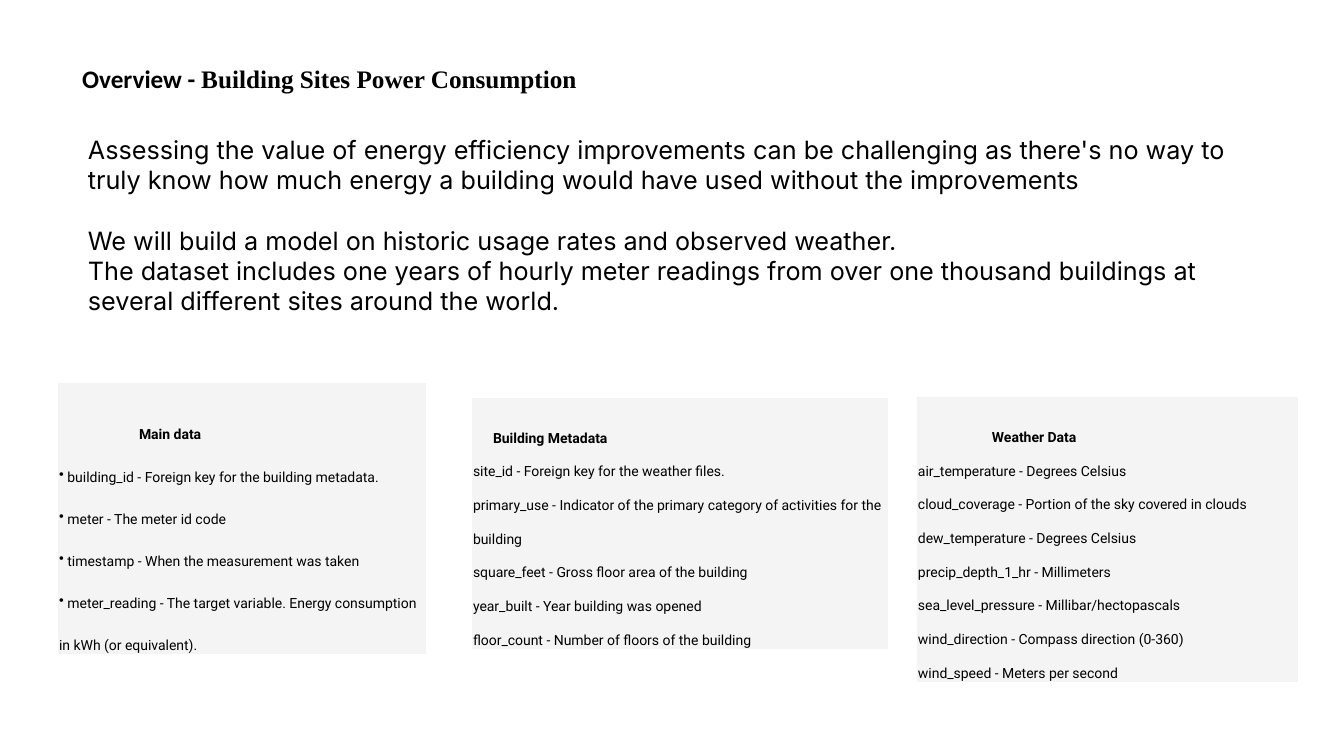
from pptx import Presentation
from pptx.dml.color import RGBColor
from pptx.enum.shapes import MSO_SHAPE as Shape
from pptx.enum.text import MSO_ANCHOR as Anchor, MSO_AUTO_SIZE as Fit, PP_ALIGN as Align
from pptx.oxml.xmlchemy import OxmlElement as Element
from pptx.util import Pt

SCALE = 914400 / 100.8
BLACK = RGBColor(0x00, 0x00, 0x00)
PALE = RGBColor(0xF4, 0xF4, 0xF4)

INTRO = [
    ("Assessing the value of energy efficiency improvements can be challenging as there's "
     "no way to truly know how much energy a building would have used without the "
     "improvements", 0),
    ("We will build a model on historic usage rates and observed weather.", 22),
    ("The dataset includes one years of hourly meter readings from over one thousand "
     "buildings at several different sites around the world.", 0),
]
MAIN = [
    ("building_id", "Foreign key for the building metadata."),
    ("meter", "The meter id code"),
    ("timestamp", "When the measurement was taken"),
    ("meter_reading", "The target variable. Energy consumption in kWh (or equivalent)."),
]
SITES = [
    ("site_id", "Foreign key for the weather files."),
    ("primary_use", "Indicator of the primary category of activities for the building"),
    ("square_feet", "Gross floor area of the building"),
    ("year_built", "Year building was opened"),
    ("floor_count", "Number of floors of the building"),
]
WEATHER = [
    ("air_temperature", "Degrees Celsius"),
    ("cloud_coverage", "Portion of the sky covered in clouds"),
    ("dew_temperature", "Degrees Celsius"),
    ("precip_depth_1_hr", "Millimeters"),
    ("sea_level_pressure", "Millibar/hectopascals"),
    ("wind_direction", "Compass direction (0-360)"),
    ("wind_speed", "Meters per second"),
]
# box, heading, heading indent, fields, line spacing, bullet
CARDS = [
    ((58, 383, 368, 271), "Main data", 80, MAIN, 2.5, "•"),
    ((472, 398, 416, 251), "Building Metadata", 20, SITES, 2, None),
    ((917, 397, 381, 285), "Weather Data", 74, WEATHER, 2, None),
]


def px(count):
    """Turn pixels into EMU."""
    return round(count * SCALE)


def put(thing, values):
    """Set each named attribute of a thing."""
    for name, value in values.items():
        setattr(thing, name, value)


class Deck:
    """Hold the style and the current slide."""

    def __init__(self, wide, high):
        """Start a deck with one title-only slide."""
        self.show = Presentation()
        put(self.show, {"slide_width": px(wide), "slide_height": px(high)})
        self.slide = self.show.slides.add_slide(self.show.slide_layouts[5])

    def frame(self, shape, anchor, **sides):
        """Format the text frame of a shape and return it."""
        frame = shape.text_frame
        put(frame, {"word_wrap": True, "auto_size": Fit.NONE, "vertical_anchor": anchor})
        put(frame, {"margin_" + side: px(gap) for side, gap in sides.items()})
        return frame

    def para(self, frame, runs, size, **form):
        """Add a paragraph of (text, font, bold) runs."""
        first = frame.paragraphs[0]
        para = frame.add_paragraph() if first.runs else first
        put(para, {"alignment": Align.LEFT, **form})
        for text, font, bold in runs:
            run = para.add_run()
            run.text = text
            put(run.font, {"name": font, "size": Pt(size), "bold": bold})
            run.font.color.rgb = BLACK
        return para

    def title(self, box, runs):
        """Place and fill the title."""
        shape = self.slide.shapes.title
        put(shape, dict(zip(("left", "top", "width", "height"), map(px, box))))
        self.para(self.frame(shape, Anchor.TOP), runs, 18)

    def text(self, box, paras):
        """Add a text box of (text, space before) paragraphs."""
        shape = self.slide.shapes.add_textbox(*map(px, box))
        frame = self.frame(shape, Anchor.TOP)
        for text, gap in paras:
            self.para(frame, [(text, "Inter", False)], 18, space_before=Pt(gap))

    def card(self, box, head, indent, fields, space, mark):
        """Add a pale card with a heading and a list of fields."""
        shape = self.slide.shapes.add_shape(Shape.RECTANGLE, *map(px, box))
        shape.shadow.inherit = False
        shape.fill.solid()
        shape.fill.fore_color.rgb = PALE
        shape.line.fill.background()
        frame = self.frame(shape, Anchor.MIDDLE, left=1, right=1, top=0, bottom=0)
        para = self.para(frame, [(head, "Roboto", True)], 10, line_spacing=space * 1.4)
        para._p.get_or_add_pPr().set("indent", str(px(indent)))
        for name, note in fields:
            text = f"{' ' if mark else ''}{name}\u00a0- {note}"
            para = self.para(frame, [(text, "Roboto", False)], 10, line_spacing=space)
            if mark:
                self.bullet(para, mark)

    def bullet(self, para, mark):
        """Give a paragraph a bullet."""
        char = Element("a:buChar")
        char.set("char", mark)
        para._p.get_or_add_pPr().append(char)


deck = Deck(1344, 756)
deck.title((72, 58, 540, 72), [("Overview - ", "Calibri", True),
                               ("Building Sites Power Consumption", "Times New Roman", True)])
deck.text((78, 129, 1189, 224), INTRO)
for card in CARDS:
    deck.card(*card)
deck.show.save("out.pptx")
